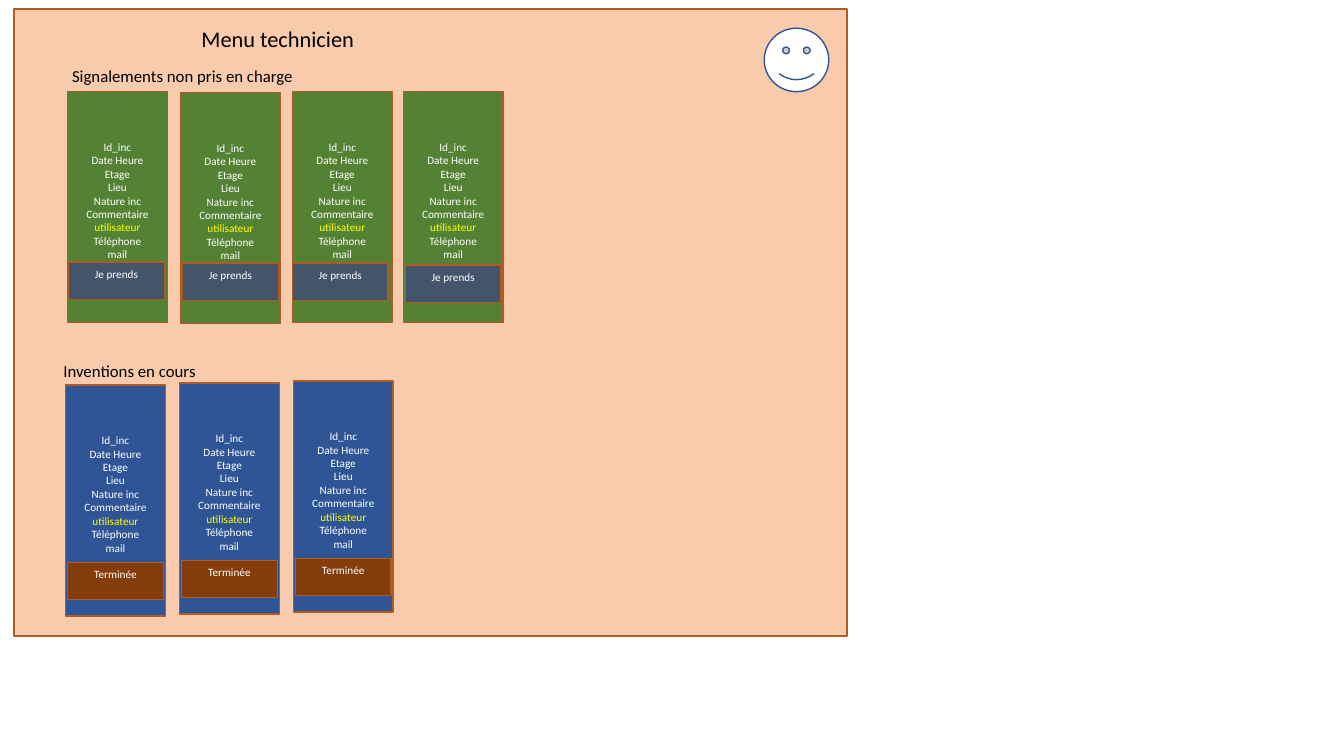
from dataclasses import dataclass

from pptx import Presentation
from pptx.dml.color import RGBColor
from pptx.enum.shapes import MSO_SHAPE as Preset
from pptx.enum.text import MSO_ANCHOR as Anchor, MSO_AUTO_SIZE as AutoSize, PP_ALIGN as Align
from pptx.util import Inches, Pt

PEACH = RGBColor(0xF8, 0xCB, 0xAD)
RUST = RGBColor(0xAF, 0x5C, 0x24)
GREEN = RGBColor(0x54, 0x82, 0x35)
BLUE = RGBColor(0x2F, 0x55, 0x97)
SLATE = RGBColor(0x44, 0x54, 0x6A)
BROWN = RGBColor(0x84, 0x3C, 0x0B)
NAVY = RGBColor(0x32, 0x54, 0x91)
YELLOW = RGBColor(0xFF, 0xFF, 0x00)
WHITE = RGBColor(0xFF, 0xFF, 0xFF)
BLACK = RGBColor(0x00, 0x00, 0x00)

FONT = "Calibri"
FIELDS = ["Id_inc", "Date Heure", "Etage", "Lieu", "Nature inc", "Commentaire",
          "utilisateur", "Téléphone", "mail"]
HIGHLIGHTED = "utilisateur"
CARD_SIZE = (0.99, 2.29)
BUTTON_SIZE = (0.95, 0.37)


@dataclass
class Ticket:
    """Top-left corners, in inches, of a report card and its button."""
    card: tuple[float, float]
    button: tuple[float, float]


@dataclass
class Section:
    """A heading, its area, and the tickets listed under it."""
    heading: str
    area: tuple[float, float, float, float]
    card_fill: RGBColor
    action: str
    button_fill: RGBColor
    tickets: list[Ticket]


SECTIONS = [
    Section("Signalements non pris en charge", (0.5, 0.71, 2.62, 0.09),
            GREEN, "Je prends", SLATE,
            [Ticket((0.67, 0.91), (0.68, 2.6)), Ticket((1.79, 0.92), (1.81, 2.61)),
             Ticket((2.9, 0.91), (2.9, 2.61)), Ticket((4, 0.91), (4.02, 2.63))]),
    Section("Inventions en cours", (0.52, 3.59, 1.53, 0.18),
            BLUE, "Terminée", BROWN,
            [Ticket((0.65 + 1.13 * i, 3.82 - 0.02 * i), (0.67 + 1.13 * i, 5.58 - 0.02 * i))
             for i in range(3)]),
]


def add_box(slide, area, fill: RGBColor, line: RGBColor | None = None, preset=Preset.RECTANGLE):
    """Add a flat shape, outlined only when a line colour is given."""
    box = slide.shapes.add_shape(preset, *map(Inches, area))
    box.shadow.inherit = False
    box.fill.solid()
    box.fill.fore_color.rgb = fill
    if line is None:
        box.line.fill.background()
    else:
        box.line.color.rgb = line
        box.line.width = Pt(1)
    return box


def write_lines(box, lines: list[str], size: float, color: RGBColor,
                top: float, bottom: float) -> None:
    """Write centred lines between the given top and bottom insets."""
    frame = box.text_frame
    frame.word_wrap = True
    frame.auto_size = AutoSize.NONE
    frame.vertical_anchor = Anchor.MIDDLE
    frame.margin_left = frame.margin_right = Inches(0.1)
    frame.margin_top, frame.margin_bottom = Inches(top), Inches(bottom)
    frame.text = "\n".join(lines)
    for para in frame.paragraphs:
        para.alignment = Align.CENTER
        para.font.name = FONT
        para.font.size = Pt(size)
        para.font.color.rgb = YELLOW if para.text == HIGHLIGHTED else color


def add_section(slide, section: Section) -> None:
    """Draw a heading with its cards and their buttons."""
    heading = add_box(slide, section.area, PEACH)
    write_lines(heading, [section.heading], 12, BLACK, 0, 0)
    for ticket in section.tickets:
        card = add_box(slide, (*ticket.card, *CARD_SIZE), section.card_fill, RUST)
        write_lines(card, FIELDS, 8, WHITE, 0.05, 0.18)
        button = add_box(slide, (*ticket.button, *BUTTON_SIZE), section.button_fill, RUST)
        write_lines(button, [section.action], 8, WHITE, 0.05, 0.18)


def main() -> None:
    """Build the technician menu and save it."""
    deck = Presentation()
    deck.slide_width, deck.slide_height = Inches(13.33), Inches(7.5)
    slide = deck.slides.add_slide(deck.slide_layouts[5])

    title = slide.shapes.title
    panel = add_box(slide, (0.14, 0.09, 8.26, 6.22), PEACH, RUST)
    title.element.addprevious(panel.element)
    title.left, title.top, title.width, title.height = map(Inches, (1.75, 0.38, 2.01, 0.27))
    title.fill.solid()
    title.fill.fore_color.rgb = PEACH
    write_lines(title, ["Menu technicien"], 16, BLACK, 0, 0.26)

    for section in SECTIONS:
        add_section(slide, section)
    add_box(slide, (7.58, 0.28, 0.64, 0.63), WHITE, NAVY, Preset.SMILEY_FACE)
    deck.save("out.pptx")


main()
